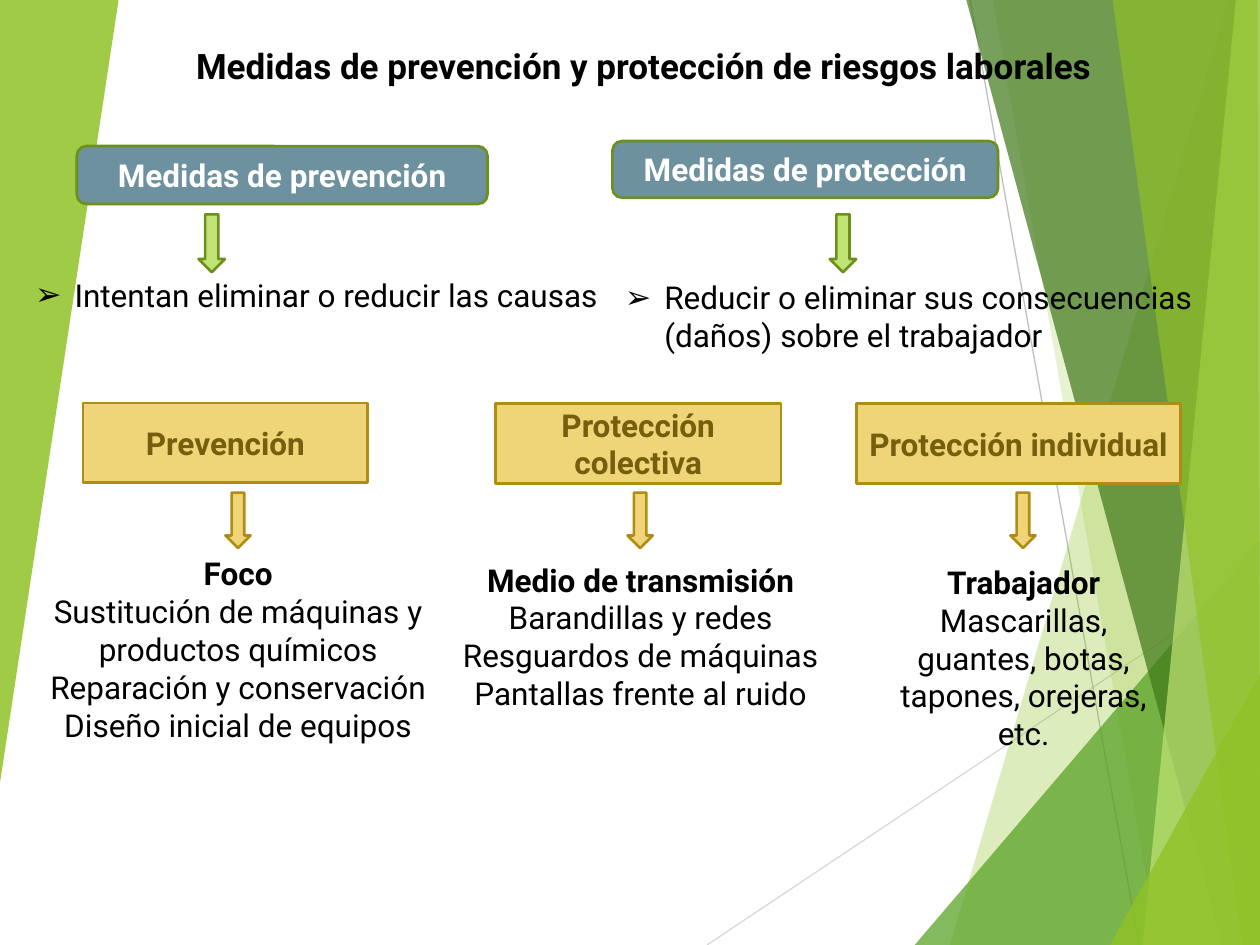
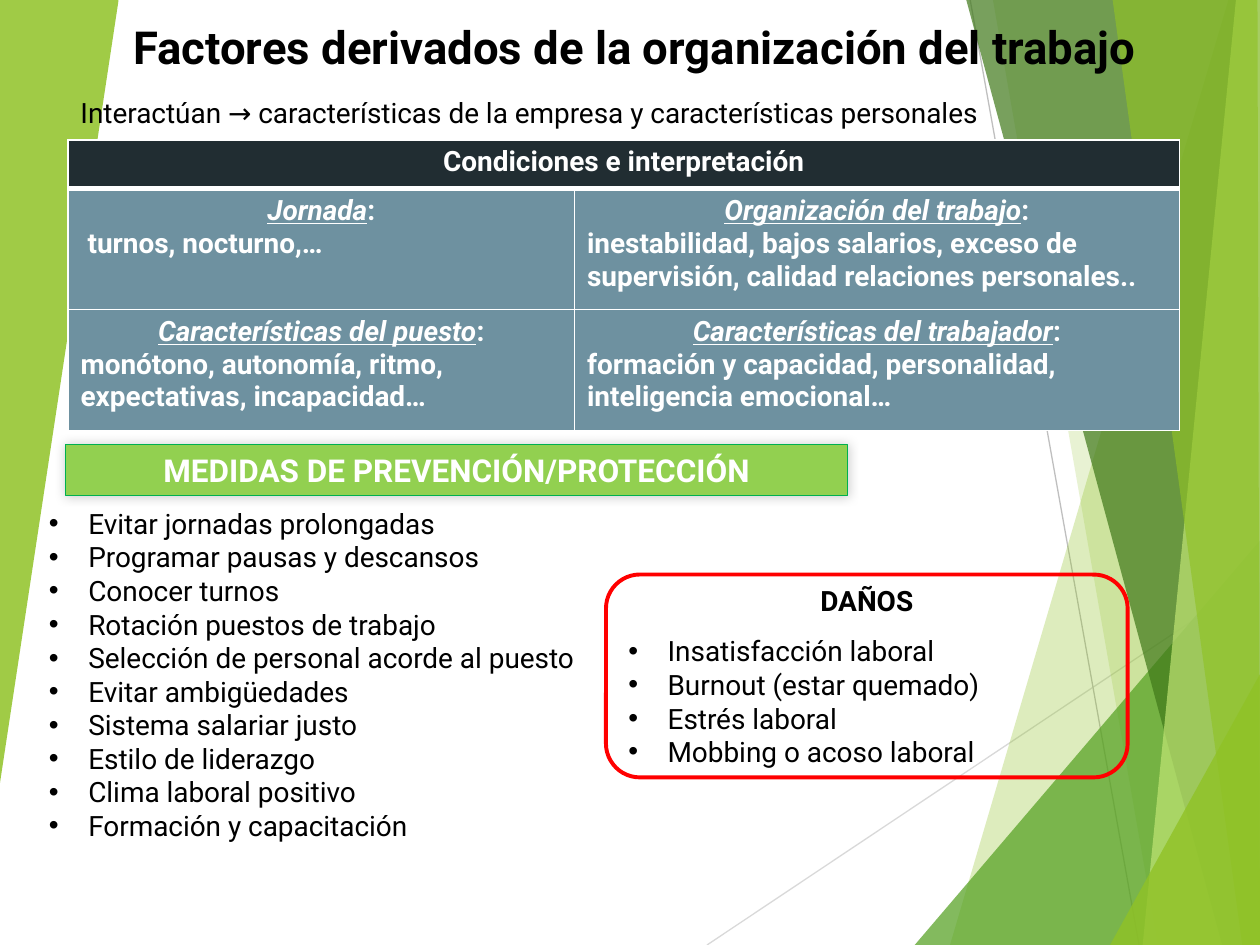
from lxml import etree
from pptx import Presentation
from pptx import util as u
from pptx.dml.color import RGBColor
from pptx.enum import shapes, text
from pptx.oxml.ns import qn

BLACK, WHITE = RGBColor(0, 0, 0), RGBColor(255, 255, 255)
LIME, LEAF = RGBColor(0x90, 0xC2, 0x26), RGBColor(0x54, 0xA0, 0x21)
FOREST, PALE = RGBColor(0x3F, 0x78, 0x19), RGBColor(0xC0, 0xE4, 0x74)
STEEL, NAVY = RGBColor(0x6E, 0x91, 0xA0), RGBColor(0x21, 0x2D, 0x32)
OLIVE, RED = RGBColor(0x6B, 0x90, 0x1C), RGBColor(255, 0, 0)
SAND, GOLD, BROWN = RGBColor(0xF0, 0xD5, 0x78), RGBColor(0xAF, 0x8C, 0x14), RGBColor(0x75, 0x5E, 0x0D)
GRASS, EMERALD = RGBColor(0x92, 0xD0, 0x50), RGBColor(0, 0xB0, 0x50)
SILVER, GREY = RGBColor(0xD9, 0xD9, 0xD9), RGBColor(0xBF, 0xBF, 0xBF)
FONT = "Roboto"
CENTER, LEFT = text.PP_ALIGN.CENTER, text.PP_ALIGN.LEFT
MIDDLE, TOP = text.MSO_ANCHOR.MIDDLE, text.MSO_ANCHOR.TOP
RECT, ROUND = shapes.MSO_SHAPE.RECTANGLE, shapes.MSO_SHAPE.ROUNDED_RECTANGLE
ARROW = shapes.MSO_SHAPE.DOWN_ARROW
INDENT = 22.5

RAYS = [
    ((404, 540), (720, 329), SILVER),
    ((554.4, 0), (650.9, 540), GREY),
]
FACETS = [
    (LIME, 30, [(702, 0), (542.9, 540), (720, 540), (720, 0)]),
    (LIME, 20, [(567.4, 0), (661.7, 540), (720, 540), (720, 0)]),
    (LEAF, 72, [(522.7, 540), (720, 308.9), (720, 540)]),
    (FOREST, 70, [(552.2, 0), (698.4, 540), (720, 540), (720, 0)]),
    (PALE, 70, [(706.3, 0), (653, 540), (720, 540), (720, 0)]),
    (LIME, 65, [(635.8, 0), (709.9, 540), (720, 540), (718.6, 0)]),
    (LIME, 80, [(634.3, 540), (720, 385.2), (720, 540)]),
    (LIME, 85, [(0, 0), (67.7, 0), (67.7, 0.7), (0, 447.5)]),
]

MEASURES_TITLE = "Medidas de prevención y protección de riesgos laborales"
MEASURES = [
    ("Medidas de prevención", (43.9, 83.5, 234.7, 33.1), 121,
     "Intentan eliminar o reducir las causas", (13, 154, 338, 51)),
    ("Medidas de protección", (350, 80.6, 220.3, 32.4), 481.7,
     "Reducir o eliminar sus consecuencias (daños) sobre el trabajador", (350, 155.5, 368.6, 51)),
]
TARGETS = [
    ("Prevención", (47.5, 230.4, 162.7, 45.4), 136,
     ["Foco", "Sustitución de máquinas y productos químicos",
      "Reparación y conservación", "Diseño inicial de equipos"], (2.9, 313.2, 266.4, 116.6)),
    ("Protección colectiva", (283, 230.4, 163.4, 46), 365.8,
     ["Medio de transmisión", "Barandillas y redes", "Resguardos de máquinas",
      "Pantallas frente al ruido"], (255.3, 316.8, 221.6, 94.3)),
    ("Protección individual", (489.6, 230.4, 185, 46), 584.6,
     ["Trabajador", "Mascarillas, guantes, botas, tapones, orejeras, etc."],
     (498.2, 318.2, 173.5, 94.3)),
]

FACTORS_TITLE = "Factores derivados de la organización del trabajo"
INTERACTION = "Interactúan → características de la empresa y características personales"
CONDITIONS_TITLE = "Condiciones e interpretación"
CONDITIONS = [
    [("Jornada", "turnos, nocturno,…", 4),
     ("Organización del trabajo",
      "inestabilidad, bajos salarios, exceso de supervisión, calidad relaciones personales..", 0)],
    [("Características del puesto", "monótono, autonomía, ritmo, expectativas, incapacidad…", 0),
     ("Características del trabajador",
      "formación y capacidad, personalidad, inteligencia emocional…", 0)],
]
COLUMN_WIDTHS, ROW_HEIGHTS = (289.4, 345.6), (28, 69, 69)
PREVENTION_TITLE = "MEDIDAS DE PREVENCIÓN/PROTECCIÓN"
PREVENTION = [
    "Evitar jornadas prolongadas", "Programar pausas y descansos", "Conocer turnos",
    "Rotación puestos de trabajo", "Selección de personal acorde al puesto",
    "Evitar ambigüedades", "Sistema salariar justo", "Estilo de liderazgo",
    "Clima laboral positivo", "Formación y capacitación",
]
HARM_TITLE = "DAÑOS"
HARM = ["Insatisfacción laboral", "Burnout (estar quemado)", "Estrés laboral", "Mobbing o acoso laboral"]


def points(values):
    return [u.Pt(value) for value in values]


def assign(target, values):
    for name, value in values.items():
        setattr(target, name, value)


def add_element(parent, tag, **attributes):
    return etree.SubElement(parent, qn(tag), attributes)


def line(content, size=18, color=BLACK, align=LEFT, bullet=None, indent=0, after=0, **style):
    runs = [(content, {})] if isinstance(content, str) else content
    return dict(runs=runs, size=size, color=color, align=align, bullet=bullet,
                indent=indent, after=after, style=style)


def write(frame, lines):
    for index, item in enumerate(lines):
        para = frame.paragraphs[0] if index == 0 else frame.add_paragraph()
        properties = para._p.get_or_add_pPr()
        if item["bullet"]:
            properties.set("marL", str(u.Pt(INDENT)))
            properties.set("indent", str(-u.Pt(INDENT)))
            add_element(properties, "a:buFont", typeface="Arial")
            add_element(properties, "a:buChar", char=item["bullet"])
        elif item["indent"]:
            properties.set("marL", str(u.Pt(item["indent"])))
        assign(para, {"alignment": item["align"], "space_after": u.Pt(item["after"])})
        for words, extra in item["runs"]:
            span = para.add_run()
            span.text = words
            assign(span.font, {"name": FONT, "size": u.Pt(item["size"]), **item["style"], **extra})
            span.font.color.rgb = item["color"]


def add_text(page, frame, lines, anchor=TOP):
    box = page.shapes.add_textbox(*points(frame))
    assign(box.text_frame, {"word_wrap": True, "vertical_anchor": anchor})
    write(box.text_frame, lines)


def add_box(page, kind, frame, fill, outline, weight=1.5, lines=(), inset=7.2):
    box = page.shapes.add_shape(kind, *points(frame))
    box.shadow.inherit = False
    if fill is None:
        box.fill.background()
    else:
        box.fill.solid()
        box.fill.fore_color.rgb = fill
    box.line.color.rgb = outline
    box.line.width = u.Pt(weight)
    assign(box.text_frame, {"word_wrap": True, "vertical_anchor": MIDDLE,
                            "margin_left": u.Pt(inset), "margin_right": u.Pt(inset)})
    write(box.text_frame, lines)
    return box


def add_arrow(page, center, top, width, height, fill, outline):
    add_box(page, ARROW, (center - width / 2, top, width, height), fill, outline)


def add_backdrop(page):
    for start, end, color in RAYS:
        ray = page.shapes.add_connector(shapes.MSO_CONNECTOR.STRAIGHT, *points(start + end))
        ray.line.color.rgb = color
        ray.line.width = u.Pt(0.75)
        add_element(ray._element.spPr, "a:effectLst")
    for color, opacity, corners in FACETS:
        first, *others = [points(corner) for corner in corners]
        builder = page.shapes.build_freeform(*first, scale=1.0)
        builder.add_line_segments(others, close=True)
        facet = builder.convert_to_shape()
        facet.shadow.inherit = False
        facet.line.fill.background()
        facet.fill.solid()
        facet.fill.fore_color.rgb = color
        tint = facet._element.spPr.find(".//" + qn("a:srgbClr"))
        add_element(tint, "a:alpha", val=str(opacity * 1000))


def add_page(deck, title, frame, size):
    page = deck.slides.add_slide(deck.slide_layouts[6])
    add_backdrop(page)
    add_text(page, frame, [line(title, size, align=CENTER, bold=True)], MIDDLE)
    return page


def style_cell(cell, fill, bottom, lines):
    cell.fill.solid()
    cell.fill.fore_color.rgb = fill
    properties = cell._tc.get_or_add_tcPr()
    for index, (side, weight) in enumerate((("L", 1), ("R", 1), ("T", 1), ("B", bottom))):
        border = etree.Element(qn("a:ln" + side), w=str(u.Pt(weight)))
        add_element(add_element(border, "a:solidFill"), "a:srgbClr", val=str(WHITE))
        properties.insert(index, border)
    write(cell.text_frame, lines)


def add_conditions(page):
    frame = (38.9, 79.9, sum(COLUMN_WIDTHS), sum(ROW_HEIGHTS))
    table = page.shapes.add_table(3, 2, *points(frame)).table
    for column, width in zip(table.columns, COLUMN_WIDTHS):
        column.width = u.Pt(width)
    for row, height in zip(table.rows, ROW_HEIGHTS):
        row.height = u.Pt(height)
    style = dict(size=16, color=WHITE, bold=True)
    table.cell(0, 0).merge(table.cell(0, 1))
    style_cell(table.cell(0, 0), NAVY, 3, [line(CONDITIONS_TITLE, align=CENTER, **style)])
    style_cell(table.cell(0, 1), NAVY, 3, [])
    for row, entries in enumerate(CONDITIONS, 1):
        for column, (heading, detail, indent) in enumerate(entries):
            runs = [(heading, {"italic": True, "underline": True}), (":", {})]
            style_cell(table.cell(row, column), STEEL, 1,
                       [line(runs, align=CENTER, **style), line(detail, indent=indent, **style)])


def build_measures(deck):
    page = add_page(deck, MEASURES_TITLE, (22, 15, 692, 45), 20)
    for heading, frame, arrow, detail, detail_frame in MEASURES:
        add_box(page, ROUND, frame, STEEL, OLIVE,
                lines=[line(heading, color=WHITE, align=CENTER, bold=True)])
        add_arrow(page, arrow, 122.5, 15.1, 33.1, PALE, OLIVE)
        add_text(page, detail_frame, [line(detail, bullet="➢")])
    for heading, frame, arrow, details, details_frame in TARGETS:
        add_box(page, RECT, frame, SAND, GOLD, inset=5,
                lines=[line(heading, color=BROWN, align=CENTER, bold=True)])
        add_arrow(page, arrow, 281.5, 14.4, 31.7, SAND, GOLD)
        add_text(page, details_frame,
                 [line(detail, align=CENTER, bold=index == 0) for index, detail in enumerate(details)])


def build_factors(deck):
    page = add_page(deck, FACTORS_TITLE, (6, 4, 714, 45), 26)
    banner = add_box(page, RECT, (37.4, 254.2, 447.1, 28.8), GRASS, EMERALD, 0.75,
                     [line(PREVENTION_TITLE, color=WHITE, align=CENTER, bold=True)])
    effects = banner._element.spPr.find(qn("a:effectLst"))
    shadow = add_element(effects, "a:outerShdw", blurRad=str(u.Pt(6)), dist="0", dir="13500000")
    add_element(add_element(shadow, "a:srgbClr", val=str(BLACK)), "a:alpha", val="20000")
    add_box(page, ROUND, (346.3, 328.3, 298.1, 115.9), None, RED, 2.25,
            [line(HARM_TITLE, 16, align=CENTER, after=9.5, bold=True)]
            + [line(item, 16, bullet="•") for item in HARM])
    add_text(page, (20.9, 285.8, 324, 200.9), [line(item, 16, bullet="•") for item in PREVENTION])
    add_conditions(page)
    add_text(page, (38.9, 51.1, 680, 26.6), [line(INTERACTION, 16)])


def main():
    deck = Presentation()
    assign(deck, {"slide_width": u.Pt(720), "slide_height": u.Pt(540)})
    build_measures(deck)
    build_factors(deck)
    deck.save("out.pptx")


if __name__ == "__main__":
    main()
